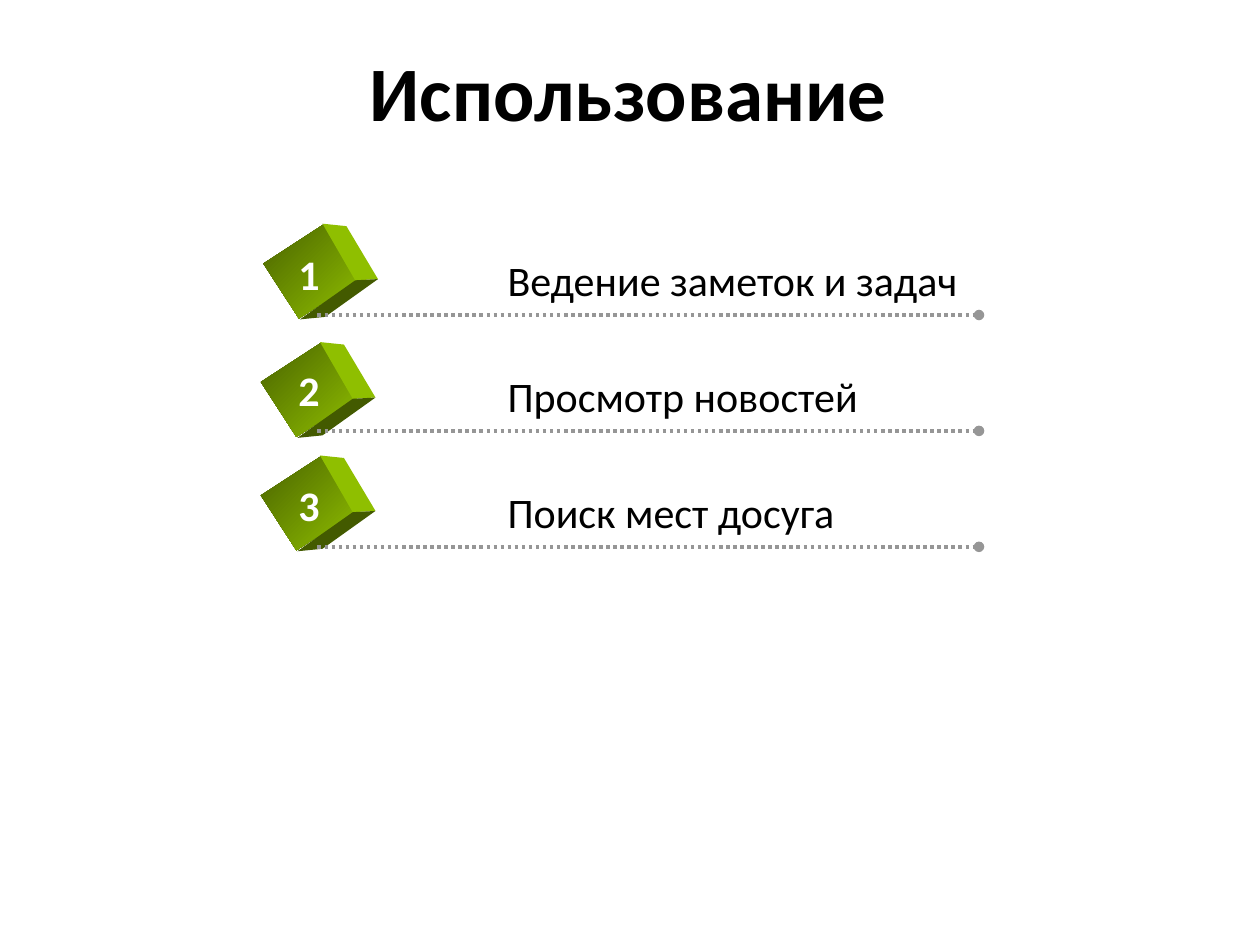
from dataclasses import dataclass

from lxml import etree
from pptx import Presentation
from pptx.dml.color import RGBColor
from pptx.enum.dml import MSO_LINE
from pptx.enum.shapes import MSO_CONNECTOR, MSO_SHAPE
from pptx.enum.text import MSO_ANCHOR, PP_ALIGN
from pptx.oxml.ns import qn
from pptx.util import Inches, Pt

RECT = MSO_SHAPE.RECTANGLE
STRAIGHT = MSO_CONNECTOR.STRAIGHT
DOTS = MSO_LINE.ROUND_DOT
MIDDLE, TOP = MSO_ANCHOR.MIDDLE, MSO_ANCHOR.TOP
CENTER, LEFT = PP_ALIGN.CENTER, PP_ALIGN.LEFT


@dataclass(frozen=True)
class Theme:
    font: str = "Calibri"
    ink: str = "000000"
    white: str = "FFFFFF"
    rule: str = "969696"
    dark: str = "4A6300"
    lime: str = "8FBF00"
    under: str = "435A00"
    title: int = 44
    body: int = 24


@dataclass(frozen=True)
class Item:
    text: str
    width: float
    cube_x: float
    cube_y: float


THEME = Theme()
ITEMS = (
    Item("Ведение заметок и задач", 3.81, 2.21, 1.87),
    Item("Просмотр новостей", 3.08, 2.19, 2.81),
    Item("Поиск мест досуга", 2.82, 2.19, 3.71),
)
FIRST, PITCH = 2.5, 0.92
LINE_X, LINE_END = 2.52, 7.77
CUBE_W, CUBE_H, TURN = 0.52, 0.57, 57
# Side faces, measured from the centre of the front face
FACES = (
    (THEME.lime, ((0.09, -0.38), (0.28, -0.36), (0.53, 0.06), (0.35, 0.07))),
    (THEME.under, ((0.35, 0.07), (0.53, 0.06), (0.11, 0.36), (-0.09, 0.38))),
)


def rgb(code: str) -> RGBColor:
    return RGBColor.from_string(code)


def add_text(slide, text: str, box: tuple, size: int, color: str,
             bold: bool = False, wrap: bool = False,
             anchor=TOP, align=LEFT, spacing: float = 1.0) -> None:
    frame = slide.shapes.add_textbox(*map(Inches, box)).text_frame
    para = frame.paragraphs[0]
    run = para.add_run()
    run.text = text
    run.font.color.rgb = rgb(color)
    formats = {
        frame: {"word_wrap": wrap, "vertical_anchor": anchor},
        para: {"alignment": align, "line_spacing": spacing},
        run.font: {"name": THEME.font, "size": Pt(size), "bold": bold},
    }
    for target, values in formats.items():
        for name, value in values.items():
            setattr(target, name, value)


def add_cube(slide, x: float, y: float) -> None:
    front = slide.shapes.add_shape(
        RECT, *map(Inches, (x, y, CUBE_W, CUBE_H)))
    front.rotation = TURN
    front.shadow.inherit = False
    front.line.fill.background()
    front.fill.gradient()
    front.fill.gradient_angle = 12
    for stop, code in zip(front.fill.gradient_stops, (THEME.dark, THEME.lime)):
        stop.color.rgb = rgb(code)

    mid_x, mid_y = x + CUBE_W / 2, y + CUBE_H / 2
    for code, offsets in FACES:
        points = [(Inches(mid_x + dx), Inches(mid_y + dy))
                  for dx, dy in offsets]
        path = slide.shapes.build_freeform(*points[0])
        path.add_line_segments(points[1:], close=True)
        face = path.convert_to_shape()
        face.shadow.inherit = False
        face.fill.solid()
        face.fill.fore_color.rgb = rgb(code)
        face.line.fill.background()


def add_rule(slide, y: float) -> None:
    rule = slide.shapes.add_connector(
        STRAIGHT, *map(Inches, (LINE_X, y, LINE_END, y)))
    rule.line.color.rgb = rgb(THEME.rule)
    rule.line.width = Pt(2)
    rule.line.dash_style = DOTS
    etree.SubElement(rule.line._get_or_add_ln(), qn("a:tailEnd"), type="oval")
    etree.SubElement(rule._element.spPr, qn("a:effectLst"))


def main() -> None:
    deck = Presentation()
    deck.slide_width, deck.slide_height = Inches(10), Inches(7.5)
    slide = deck.slides.add_slide(deck.slide_layouts[6])
    add_text(slide, "Использование", (0.19, 0.28, 9.6, 0.98), THEME.title,
             THEME.ink, bold=True, wrap=True, anchor=MIDDLE, align=CENTER,
             spacing=0.9)
    for row, item in enumerate(ITEMS):
        y = FIRST + row * PITCH
        add_cube(slide, item.cube_x, item.cube_y)
        add_rule(slide, y)
        add_text(slide, item.text, (3.93, y - 0.53, item.width, 0.51),
                 THEME.body, THEME.ink)
        add_text(slide, str(row + 1), (2.27, y - 0.58, 0.39, 0.5),
                 THEME.body, THEME.white, bold=True)
    deck.save("out.pptx")


if __name__ == "__main__":
    main()
